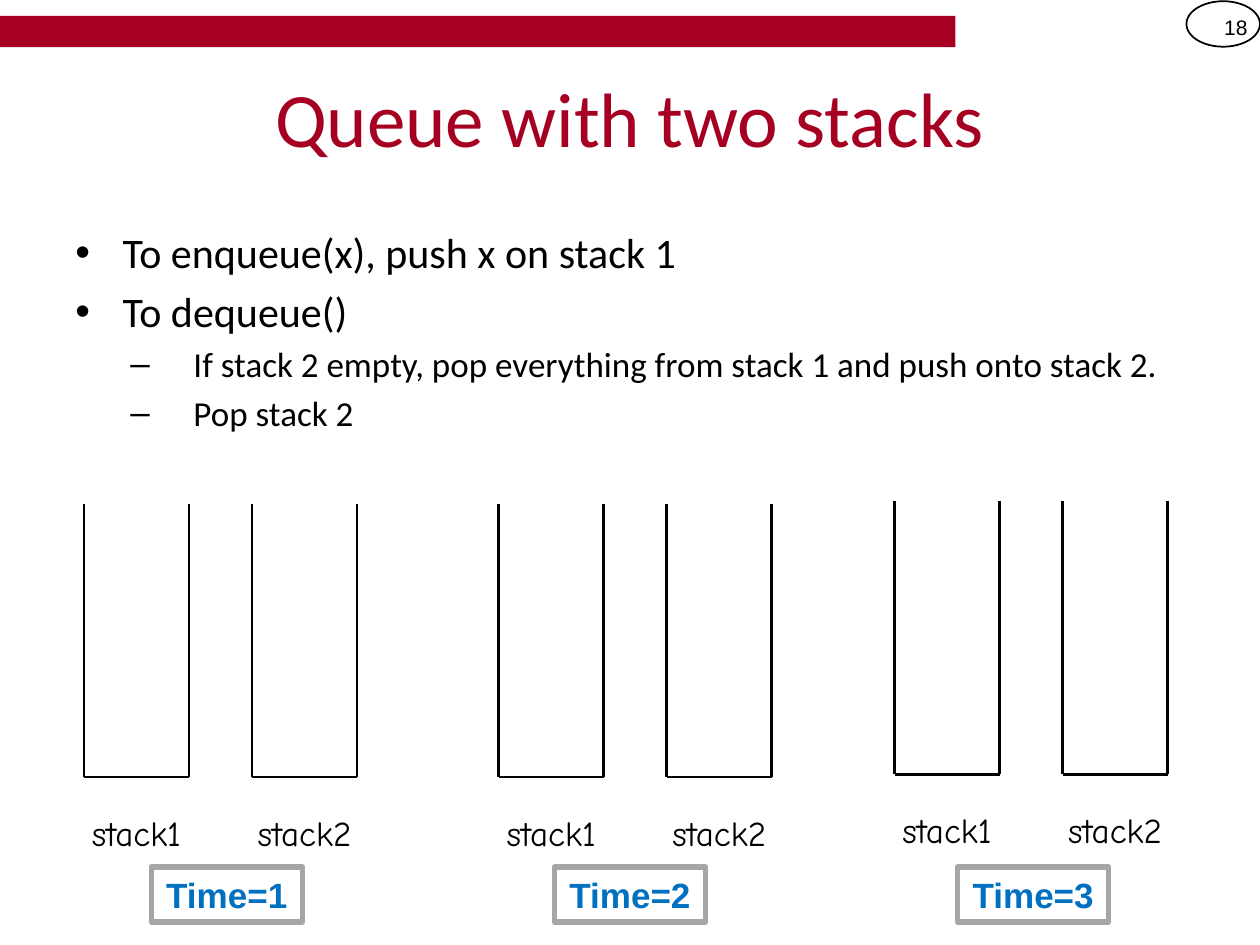
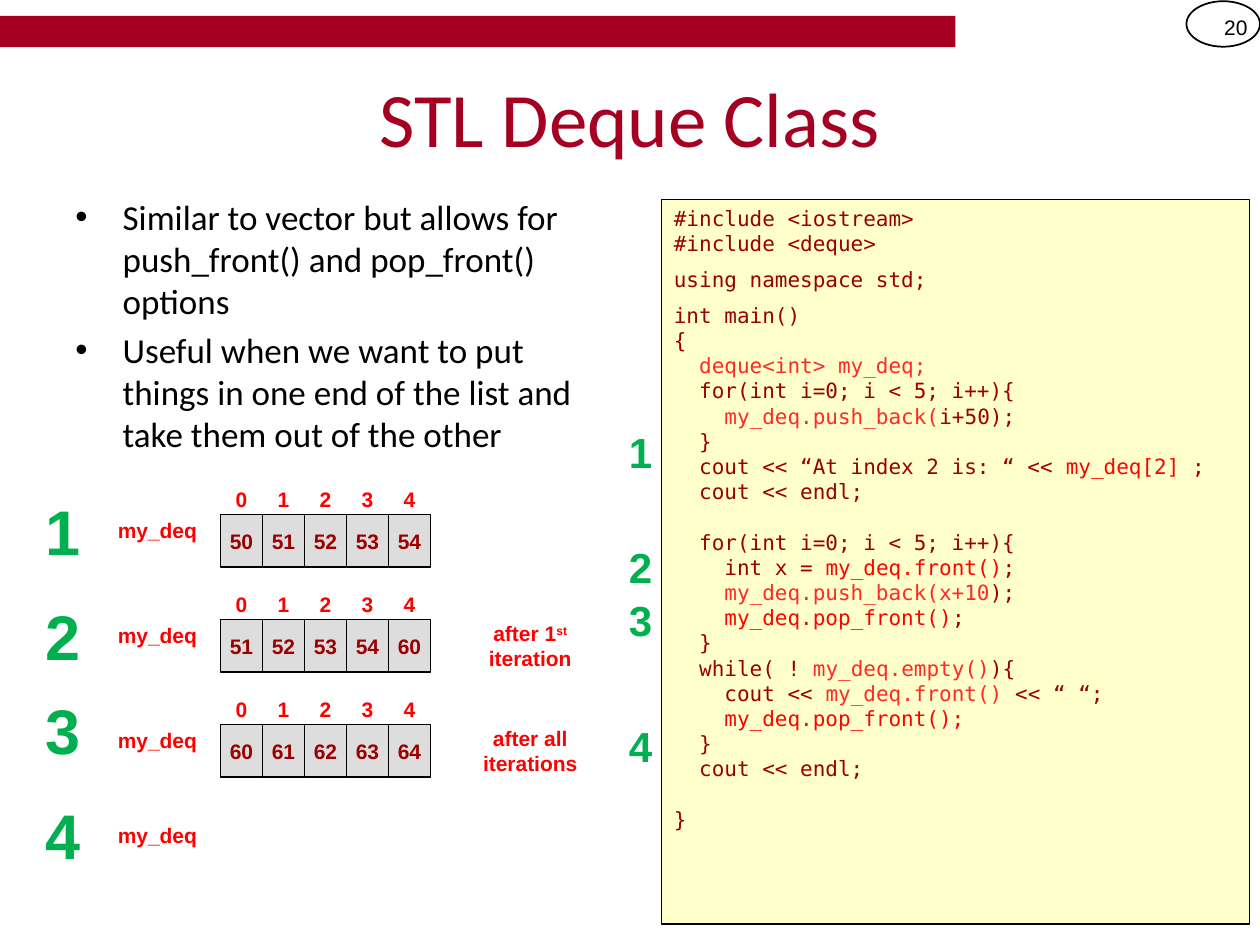
from copy import deepcopy

from lxml import etree
from pptx import Presentation
from pptx.dml.color import RGBColor
from pptx.enum.shapes import MSO_CONNECTOR, MSO_SHAPE
from pptx.enum.text import MSO_ANCHOR, PP_ALIGN
from pptx.oxml.ns import qn
from pptx.util import Pt

RECT, OVAL, STRAIGHT = MSO_SHAPE.RECTANGLE, MSO_SHAPE.OVAL, MSO_CONNECTOR.STRAIGHT
LEFT, CENTER, RIGHT = PP_ALIGN.LEFT, PP_ALIGN.CENTER, PP_ALIGN.RIGHT
TOP, MIDDLE = MSO_ANCHOR.TOP, MSO_ANCHOR.MIDDLE

BLACK = RGBColor(0x00, 0x00, 0x00)
WHITE = RGBColor(0xFF, 0xFF, 0xFF)
CARDINAL = RGBColor(0xA5, 0x00, 0x21)
MAROON = RGBColor(0x99, 0x00, 0x00)
RED = RGBColor(0xFF, 0x00, 0x00)
LIGHT_RED = RGBColor(0xFF, 0x29, 0x29)
GREEN = RGBColor(0x00, 0xB0, 0x50)
BLUE = RGBColor(0x00, 0x70, 0xC0)
GRAY = RGBColor(0xA6, 0xA6, 0xA6)
CELL_GRAY = RGBColor(0xDD, 0xDD, 0xDD)
CREAM = RGBColor(0xFF, 0xFF, 0xCC)

# Text styles: font values, then colour
PAGE_STYLE = ({"name": "Arial", "size": Pt(12)}, BLACK)
TITLE_STYLE = ({"name": "Calibri", "size": Pt(44)}, CARDINAL)
STACK_STYLE = ({"name": "Comic Neue", "size": Pt(20)}, BLACK)
TIME_STYLE = ({"name": "Arial", "size": Pt(20), "bold": True}, BLUE)
DEQUE_STYLE = ({"name": "Arial", "size": Pt(12), "bold": True}, RED)
CELL_STYLE = (DEQUE_STYLE[0], MAROON)
STEP_STYLE = ({"name": "Arial", "size": Pt(36), "bold": True}, GREEN)
MARK_STYLE = ({"name": "Arial", "size": Pt(24), "bold": True}, GREEN)
CODE_FONT = {"name": "DejaVu Sans Mono", "size": Pt(12)}

# Bullet levels: character, left margin, hanging indent
BULLETS = [("•", 27, 27), ("–", 67.5, 36)]

# Slide "Queue with two stacks": (level, font size, text)
QUEUE_POINTS = [
    (0, 24, "To enqueue(x), push x on stack 1"),
    (0, 24, "To dequeue()"),
    (1, 20, "If stack 2 empty, pop everything from stack 1 and push onto stack 2."),
    (1, 20, "Pop stack 2"),
]
STACK_NAMES = ["stack1", "stack2"]
# Time label, left and top of its pair of stacks
TIMES = [("Time=1", 48, 288), ("Time=2", 285, 288), ("Time=3", 511.2, 286.5)]

# Slide "STL Deque Class"
DEQUE_POINTS = [
    (0, 20, "Similar to vector but allows for push_front() and pop_front() options"),
    (0, 20, "Useful when we want to put things in one end of the list "
            "and take them out of the other"),
]
# Top of the deque, top of its step number, cell values, note
DEQUE_STATES = [
    (294, 282, [50, 51, 52, 53, 54], []),
    (354, 342, [51, 52, 53, 54, 60], ["after 1", "st", " iteration"]),
    (414, 396, [60, 61, 62, 63, 64], ["after all iterations"]),
    (468, 456, [], []),
]
CODE_MARK_TOPS = [240, 306, 336, 408]
CODE = [
    [("#include <iostream>\n#include <deque>", MAROON)],
    [("using namespace std;", MAROON)],
    [
        ("int main()\n{\n  ", MAROON),
        ("deque<int> my_deq;\n", LIGHT_RED),
        ("  for(int i=0; i < 5; i++){\n    ", MAROON),
        ("my_deq.push_back(", LIGHT_RED),
        ("i+50);\n  }\n  cout << “At index 2 is: “ << ", MAROON),
        ("my_deq[2]", RED),
        (" ;\n  cout << endl;\n  \n  for(int i=0; i < 5; i++){\n    int x = ", MAROON),
        ("my_deq.front()", RED),
        (";\n    ", MAROON),
        ("my_deq.push_back(x+10", LIGHT_RED),
        (");\n    ", MAROON),
        ("my_deq.pop_front()", RED),
        (";\n  }\n  while( ! ", MAROON),
        ("my_deq.empty()", LIGHT_RED),
        ("){\n    cout << ", MAROON),
        ("my_deq.front()", LIGHT_RED),
        (" << “ “;\n    ", MAROON),
        ("my_deq.pop_front();\n", RED),
        ("  }\n  cout << endl;\n  \n}", MAROON),
    ],
]


def points(*lengths):
    return [Pt(length) for length in lengths]


def add_run(paragraph, text, font_values, color):
    run = paragraph.add_run()
    run.text = text
    for attribute, value in font_values.items():
        setattr(run.font, attribute, value)
    run.font.color.rgb = color
    return run


def set_frame(shape, anchor=TOP, wrap=True):
    frame = shape.text_frame
    frame.vertical_anchor = anchor
    frame.word_wrap = wrap
    return frame


def write_line(shape, text, style, align=CENTER, anchor=MIDDLE, wrap=False):
    """Fill a shape with one line in one style and return its paragraph."""
    paragraph = set_frame(shape, anchor, wrap).paragraphs[0]
    paragraph.alignment = align
    add_run(paragraph, text, *style)
    return paragraph


def add_label(slide, box, text, style, **layout):
    return write_line(slide.shapes.add_textbox(*points(*box)), text, style, **layout)


def add_block(slide, preset, box, fill=None, line=None, line_width=0.75):
    block = slide.shapes.add_shape(preset, *points(*box))
    block.shadow.inherit = False
    if fill is None:
        block.fill.background()
    else:
        block.fill.solid()
        block.fill.fore_color.rgb = fill
    if line is None:
        block.line.fill.background()
    else:
        block.line.color.rgb = line
        block.line.width = Pt(line_width)
    return block


def add_line(slide, start, end):
    line = slide.shapes.add_connector(STRAIGHT, *points(*start, *end))
    line.line.color.rgb = BLACK
    line.line.width = Pt(1.5)
    etree.SubElement(line._element.spPr, qn("a:effectLst"))


def next_paragraph(frame, index, space_before):
    if index == 0:
        return frame.paragraphs[0]
    paragraph = frame.add_paragraph()
    paragraph.space_before = Pt(space_before)
    return paragraph


def add_bullets(slide, box, bullet_points):
    frame = set_frame(slide.shapes.add_textbox(*points(*box)))
    for index, (level, size, text) in enumerate(bullet_points):
        paragraph = next_paragraph(frame, index, size * 0.2)
        paragraph.level = level
        character, margin, hanging = BULLETS[level]
        properties = paragraph._p.get_or_add_pPr()
        properties.set("marL", str(Pt(margin)))
        properties.set("indent", str(-Pt(hanging)))
        etree.SubElement(properties, qn("a:buFont"), typeface="Arial")
        etree.SubElement(properties, qn("a:buChar"), char=character)
        add_run(paragraph, text, {"name": "Calibri", "size": Pt(size)}, BLACK)


def add_titled_slide(deck, title, number):
    slide = deck.slides.add_slide(deck.slide_layouts[6])
    add_label(slide, (678, 0.7, 42, 29), number, PAGE_STYLE, align=RIGHT)
    add_block(slide, RECT, (0, 9, 546, 18), fill=CARDINAL)
    add_block(slide, OVAL, (678, 0.7, 42, 26), line=BLACK, line_width=1)
    add_label(slide, (36, 21.6, 648, 90), title, TITLE_STYLE, wrap=True)
    return slide


def add_stack(slide, left, top, name):
    width, height = 60, 156
    right, bottom = left + width, top + height
    add_line(slide, (left, top), (left, bottom))
    add_line(slide, (right, top), (right, bottom))
    add_line(slide, (left, bottom), (right, bottom))
    add_label(slide, (left - 30, top + 172, width + 60, 31.5), name, STACK_STYLE,
              anchor=TOP, wrap=True)


def add_deque(slide, top, values, note):
    """Draw a deque as indexed cells with its name before and a note after."""
    cells_left, cell_width = 126, 24
    add_label(slide, (54, top, 72, 18), "my_deq", DEQUE_STYLE)
    for index, value in enumerate(values):
        left = cells_left + index * cell_width
        cell = add_block(slide, RECT, (left, top, cell_width, 30), CELL_GRAY, BLACK)
        write_line(cell, str(value), CELL_STYLE)
        add_label(slide, (left, top - 18, cell_width, 18), str(index), DEQUE_STYLE)
    if note:
        start, *rest = note
        paragraph = add_label(slide, (258, top + 6, 90, 18), start, DEQUE_STYLE)
        for index, text in enumerate(rest):
            run = add_run(paragraph, text, *DEQUE_STYLE)
            if index == 0:
                run.font._element.set("baseline", "30000")


def add_code(slide, box):
    frame = set_frame(add_block(slide, RECT, box, CREAM, BLACK))
    for block_index, block in enumerate(CODE):
        paragraph = next_paragraph(frame, block_index, 6)
        paragraph.alignment = LEFT
        for text, color in block:
            for line_index, line in enumerate(text.split("\n")):
                if line_index:
                    paragraph.add_line_break()
                    line_break = paragraph._p.findall(qn("a:br"))[-1]
                    line_break.append(deepcopy(run.font._element))
                if line:
                    run = add_run(paragraph, line, CODE_FONT, color)


def build_queue_slide(deck):
    slide = add_titled_slide(deck, "Queue with two stacks", "18")
    add_bullets(slide, (36, 126, 648, 356), QUEUE_POINTS)
    for time_index, (time, left, top) in enumerate(TIMES):
        for stack_index, name in enumerate(STACK_NAMES):
            add_stack(slide, left + stack_index * 96, top, name)
        time_box = add_block(slide, RECT, (86.4 + time_index * 230.4, 495.4, 86.4, 31.5),
                             WHITE, GRAY, 3)
        write_line(time_box, time, TIME_STYLE, anchor=TOP)


def build_deque_slide(deck):
    slide = add_titled_slide(deck, "STL Deque Class", "20")
    add_bullets(slide, (36, 108, 318, 168), DEQUE_POINTS)
    add_code(slide, (378, 114, 336, 414))
    for step, (top, step_top, values, note) in enumerate(DEQUE_STATES, 1):
        add_deque(slide, top, values, note)
        add_label(slide, (12, step_top, 48, 42), str(step), STEP_STYLE)
    for step, mark_top in enumerate(CODE_MARK_TOPS, 1):
        add_label(slide, (348, mark_top, 36, 36), str(step), MARK_STYLE)


def main():
    deck = Presentation()
    deck.slide_width, deck.slide_height = points(720, 540)
    build_queue_slide(deck)
    build_deque_slide(deck)
    deck.save("out.pptx")


if __name__ == "__main__":
    main()
